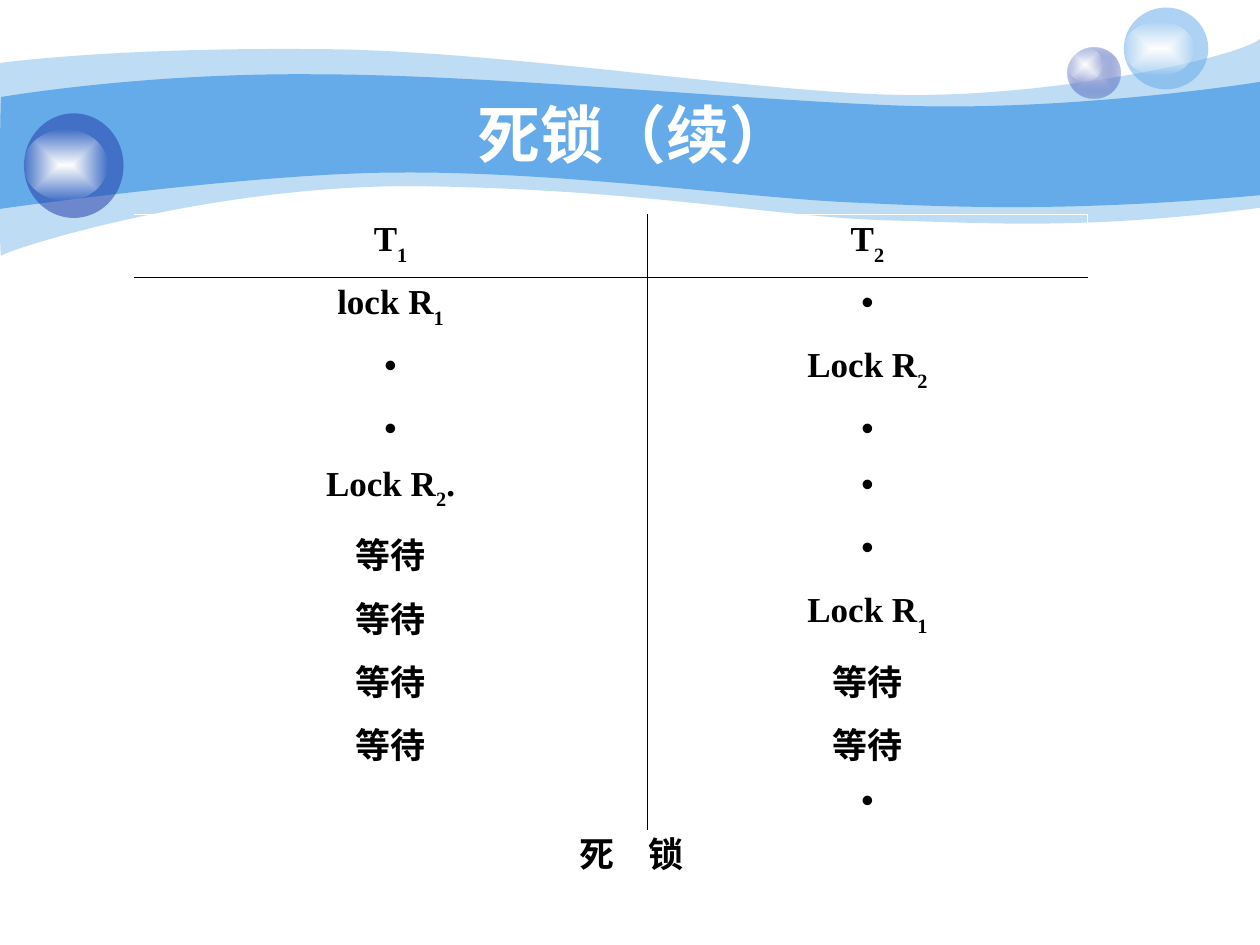
"""Build a slide that shows two transactions running into a deadlock."""
from dataclasses import dataclass

from lxml import etree
from pptx import Presentation
from pptx import util as u
from pptx.dml.color import RGBColor
from pptx.enum import shapes, text
from pptx.oxml.ns import qn


@dataclass(frozen=True)
class Theme:
    sky: str = "65AAE9"
    navy: str = "233DA9"
    lilac: str = "C7CEE9"
    white: str = "FFFFFF"
    black: str = "000000"
    title_font: str = "Arial"
    body_font: str = "Times New Roman"
    title_size: int = 36
    body_size: int = 20
    rule: float = 0.45


THEME = Theme()
TITLE = ("死锁（续）",)
CAPTION = ("死", " ", "锁")
DOT, WAIT = "•", "等待"
SUBSCRIPT = ("baseline", "-30000")
WIDE_GAP = ("spc", "1500")

SCHEDULE = [
    (("T", "1"), ("T", "2")),
    (("lock R", "1"), (DOT,)),
    ((DOT,), ("Lock R", "2")),
    ((DOT,), (DOT,)),
    (("Lock R", "2", "."), (DOT,)),
    ((WAIT,), (DOT,)),
    ((WAIT,), ("Lock R", "1")),
    ((WAIT,), (WAIT,)),
    ((WAIT,), (WAIT,)),
    ((), (DOT,)),
]
COLUMN_WIDTHS = [4.08, 3.49]
ROW_HEIGHTS = [0.5, 0.5, 0.5, 0.44, 0.5, 0.44, 0.5, 0.44, 0.44, 0.44]

WAVES = [
    (41, (0, 0.5), [
        [(0.24, 0.47), (1.07, 0.38), (2.47, 0.39)],
        [(3.86, 0.39), (5.75, 0.7), (6.99, 0.75)],
        [(8.22, 0.8), (9.8, 0.47), (10, 0.31)],
        [(10, 1.65)],
        [(8.58, 1.83), (7.87, 1.77), (7.05, 1.75)],
        [(6.22, 1.73), (5.15, 1.51), (3.43, 1.48)],
        [(1.72, 1.44), (0.04, 1.99), (0.01, 2.03)],
        [(-0.01, 2.08), (0, 0.75), (0, 0.5)],
    ]),
    (100, (0.01, 0.77), [
        [(0.02, 0.77), (1.1, 0.58), (2.48, 0.59)],
        [(3.86, 0.59), (5.95, 0.8), (7.18, 0.84)],
        [(8.41, 0.88), (9.76, 0.69), (10, 0.65)],
        [(10, 1.55)],
        [(8.53, 1.68), (7.65, 1.65), (6.82, 1.61)],
        [(5.99, 1.58), (4.47, 1.36), (3.17, 1.37)],
        [(2.03, 1.37), (-0.02, 1.66), (-0.01, 1.66)],
        [(0, 1.66), (0, 0.77), (0.01, 0.77)],
    ]),
]

GLOW = [(THEME.white, 100), (THEME.white, 0)]
BALLS = [
    ((8.47, 0.38, 0.42, 0.4), [(THEME.lilac, 100), (THEME.navy, 31)], (8.47, 0.38, 0.28, 0.27)),
    ((8.92, 0.06, 0.67, 0.65), [(THEME.sky, 53)], (8.92, 0.17, 0.56, 0.43)),
    ((0.19, 0.9, 0.79, 0.83), [(THEME.navy, 53)], (0.19, 1.03, 0.66, 0.56)),
]


def add_colour(parent, colour, alpha=100):
    node = etree.SubElement(parent, qn("a:srgbClr"), val=colour)
    if alpha < 100:
        etree.SubElement(node, qn("a:alpha"), val=str(alpha * 1000))


def paint(shape, stops):
    """Fill a shape with one colour, or with a gradient from its centre to its edge."""
    shape.shadow.inherit = False
    shape.line.fill.background()
    shape.fill.background()
    old = shape._element.spPr.find(qn("a:noFill"))
    if len(stops) == 1:
        fill = etree.Element(qn("a:solidFill"))
        add_colour(fill, *stops[0])
    else:
        fill = etree.Element(qn("a:gradFill"), rotWithShape="1")
        stop_list = etree.SubElement(fill, qn("a:gsLst"))
        for position, stop in zip(("0", "100000"), stops):
            add_colour(etree.SubElement(stop_list, qn("a:gs"), pos=position), *stop)
        centre = etree.SubElement(fill, qn("a:path"), path="rect")
        etree.SubElement(centre, qn("a:fillToRect"), dict.fromkeys("ltrb", "50000"))
    old.getparent().replace(old, fill)


def add_wave(page, alpha, start, segments):
    """Draw the control points as a polygon, then join each three into a cubic curve."""
    points = [(u.Inches(x), u.Inches(y)) for x, y in [start, *sum(segments, [])]]
    builder = page.shapes.build_freeform(*points[0], scale=1.0)
    builder.add_line_segments(points[1:], close=True)
    wave = builder.convert_to_shape()
    lines = iter(list(wave._element.iter(qn("a:lnTo"))))
    for segment in segments:
        first, *others = [next(lines) for _ in segment]
        if others:
            curve = etree.Element(qn("a:cubicBezTo"))
            first.addprevious(curve)
            for line in (first, *others):
                curve.append(line[0])
                line.getparent().remove(line)
    paint(wave, [(THEME.sky, alpha)])


def add_ball(page, body, stops, shine):
    group = page.shapes.add_group_shape()
    for place, colours in ((body, stops), (shine, GLOW)):
        paint(group.shapes.add_shape(shapes.MSO_SHAPE.OVAL, *map(u.Inches, place)), colours)


def write(frame, parts, style, accent=SUBSCRIPT):
    """Write parts as one centred line in which every second part has the accent."""
    font, size, colour = style
    para = frame.paragraphs[0]
    para.alignment = text.PP_ALIGN.CENTER
    para.font.name, para.font.size, para.font.bold = font, u.Pt(size), True
    para.font.color.rgb = RGBColor.from_string(colour)
    for index, part in enumerate(parts):
        span = para.add_run()
        span.text = part
        if index % 2:
            span.font._element.set(*accent)


def add_text(page, place, parts, style, wrap):
    box = page.shapes.add_textbox(*map(u.Inches, place))
    frame = box.text_frame
    frame.word_wrap = wrap
    frame.vertical_anchor = text.MSO_ANCHOR.MIDDLE if wrap else text.MSO_ANCHOR.TOP
    frame.auto_size = text.MSO_AUTO_SIZE.NONE if wrap else text.MSO_AUTO_SIZE.SHAPE_TO_FIT_TEXT
    write(frame, parts, style, WIDE_GAP)


def set_borders(cell, colours):
    properties = cell._tc.get_or_add_tcPr()
    for side in "LRTB":
        line = etree.SubElement(properties, qn(f"a:ln{side}"), w=str(u.Pt(THEME.rule)))
        if side in colours:
            add_colour(etree.SubElement(line, qn("a:solidFill")), colours[side])
        else:
            etree.SubElement(line, qn("a:noFill"))


def borders_at(row, column):
    colours = {"R": THEME.white, "L": THEME.black} if column else {"R": THEME.black}
    if row == 0:
        colours |= {"T": THEME.white, "B": THEME.black}
    elif row == 1:
        colours["T"] = THEME.black
    elif row == len(SCHEDULE) - 1:
        colours["B"] = THEME.white
    return colours


def add_schedule(page, style):
    size = (sum(COLUMN_WIDTHS), sum(ROW_HEIGHTS))
    table = page.shapes.add_table(
        len(SCHEDULE), len(COLUMN_WIDTHS), *map(u.Inches, (1.06, 1.7, *size))
    ).table
    table.first_row = table.horz_banding = False
    for column, width in zip(table.columns, COLUMN_WIDTHS):
        column.width = u.Inches(width)
    for r, (height, entries) in enumerate(zip(ROW_HEIGHTS, SCHEDULE)):
        table.rows[r].height = u.Inches(height)
        for c, parts in enumerate(entries):
            cell = table.cell(r, c)
            set_borders(cell, borders_at(r, c))
            cell.fill.background()
            write(cell.text_frame, parts, style)


def main():
    deck = Presentation()
    deck.slide_width, deck.slide_height = u.Inches(10), u.Inches(7.5)
    page = deck.slides.add_slide(deck.slide_layouts[6])
    title_style = (THEME.title_font, THEME.title_size, THEME.white)
    body_style = (THEME.body_font, THEME.body_size, THEME.black)
    for wave in WAVES:
        add_wave(page, *wave)
    for ball in BALLS:
        add_ball(page, *ball)
    add_text(page, (1, 0.75, 8.08, 0.62), TITLE, title_style, wrap=True)
    add_schedule(page, body_style)
    add_text(page, (4.13, 6.56, 1.76, 0.44), CAPTION, body_style, wrap=False)
    deck.save("out.pptx")


if __name__ == "__main__":
    main()
